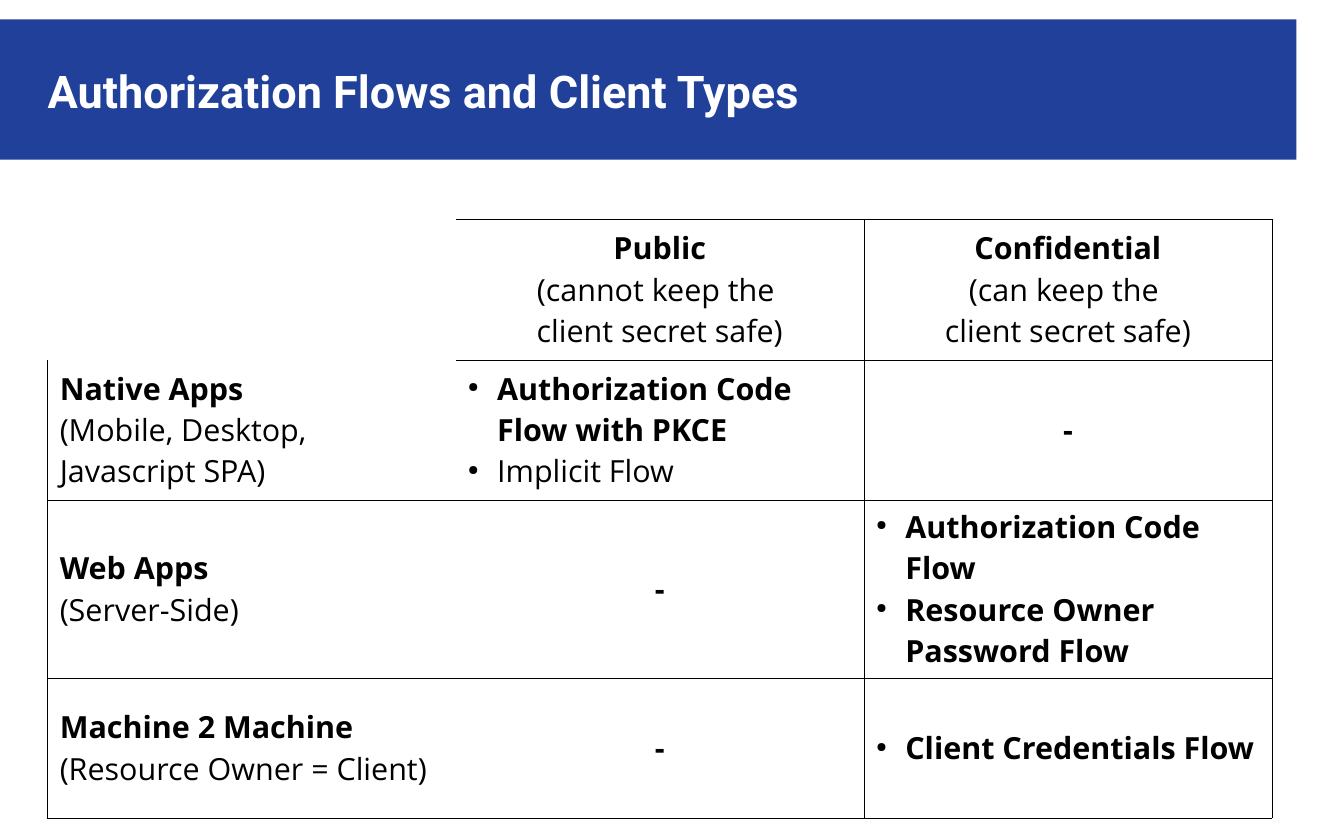
from dataclasses import dataclass

from lxml import etree
from pptx import Presentation
from pptx import util as u
from pptx.dml.color import RGBColor
from pptx.enum import shapes, text
from pptx.oxml import ns

COLORS = {"banner": "21409A", "title": "FFFFFF", "ink": "000000"}
TITLE_FONT, TABLE_FONT = "Roboto", "Open Sans"
TABLE_WIDTH = 10.04
ROW_HEIGHTS = (1.15, 1.15, 1.46, 1.15)
BORDER_WIDTH = u.Pt(0.06)


@dataclass(frozen=True)
class Words:
    content: str
    bold: bool = False


@dataclass(frozen=True)
class Line:
    words: tuple[Words, ...]
    centered: bool = False
    bulleted: bool = False


def centered(content: str, bold: bool = False) -> Line:
    return Line((Words(content, bold),), centered=True)


def flow(content: str, bold: bool = True) -> Line:
    return Line((Words(content, bold),), bulleted=True)


def plain(content: str, bold: bool = False) -> Line:
    return Line((Words(content, bold),))


NO_FLOW = (centered("-", True),)
FLOWS_BY_CLIENT: tuple[tuple[tuple[Line, ...], ...], ...] = (
    (
        (),
        (centered("Public", True), centered("(cannot keep the \nclient secret safe)")),
        (centered("Confidential", True), centered("(can keep the \nclient secret safe)")),
    ),
    (
        (plain("Native Apps", True), plain("(Mobile, Desktop, Javascript SPA)")),
        (flow("Authorization Code Flow with PKCE"), flow("Implicit Flow", False)),
        NO_FLOW,
    ),
    (
        (plain("Web Apps", True), plain("(Server-Side)")),
        NO_FLOW,
        (flow("Authorization Code Flow"), flow("Resource Owner Password Flow")),
    ),
    (
        (Line((Words("Machine 2 Machine", True), Words(" (Resource Owner = Client)"))),),
        NO_FLOW,
        (flow("Client Credentials Flow"),),
    ),
)


def rgb(name: str) -> RGBColor:
    return RGBColor.from_string(COLORS[name])


def add_words(paragraph, words: Words, font: str, size: float, color: str) -> None:
    for index, part in enumerate(words.content.split("\n")):
        if index:
            paragraph.add_line_break()
        run = paragraph.add_run()
        run.text = part
        run.font.name = font
        run.font.size = u.Pt(size)
        run.font.bold = words.bold
        run.font.color.rgb = rgb(color)


def add_bullet(paragraph) -> None:
    properties = paragraph._p.get_or_add_pPr()
    properties.set("marL", str(u.Inches(0.24)))
    properties.set("indent", str(u.Inches(-0.24)))
    tint = etree.SubElement(properties, ns.qn("a:buClr"))
    etree.SubElement(tint, ns.qn("a:srgbClr"), val=COLORS["ink"])
    etree.SubElement(properties, ns.qn("a:buSzPct"), val="45000")
    etree.SubElement(properties, ns.qn("a:buChar"), char="●")


def set_borders(cell, row: int, column: int) -> None:
    corner = row == 0 and column == 0
    visible = {
        "a:lnL": column == 2 or (column == 0 and not corner),
        "a:lnR": column > 0,
        "a:lnT": not corner and (row, column) != (1, 0),
        "a:lnB": not corner,
    }
    properties = cell._tc.get_or_add_tcPr()
    for side, drawn in visible.items():
        edge = etree.SubElement(properties, ns.qn(side), w=str(BORDER_WIDTH))
        if drawn:
            fill = etree.SubElement(edge, ns.qn("a:solidFill"))
            etree.SubElement(fill, ns.qn("a:srgbClr"), val=COLORS["ink"])
        else:
            etree.SubElement(edge, ns.qn("a:noFill"))


def fill_cell(cell, lines: tuple[Line, ...]) -> None:
    cell.vertical_anchor = text.MSO_ANCHOR.MIDDLE
    cell.margin_left = cell.margin_right = u.Inches(0.1)
    cell.margin_top = cell.margin_bottom = u.Inches(0.05)
    for index, line in enumerate(lines):
        frame = cell.text_frame
        paragraph = frame.add_paragraph() if index else frame.paragraphs[0]
        if line.bulleted:
            add_bullet(paragraph)
        paragraph.alignment = text.PP_ALIGN.CENTER if line.centered else text.PP_ALIGN.LEFT
        for words in line.words:
            add_words(paragraph, words, TABLE_FONT, 18, "ink")


def add_heading(slide) -> None:
    banner = slide.shapes.add_shape(
        shapes.MSO_SHAPE.RECTANGLE, 0, u.Inches(0.16), u.Inches(10.63), u.Inches(1.15)
    )
    banner.shadow.inherit = False
    banner.fill.solid()
    banner.fill.fore_color.rgb = rgb("banner")
    banner.line.fill.background()

    title = slide.shapes.add_textbox(
        u.Inches(0.39), u.Inches(0.33), u.Inches(10.24), u.Inches(0.82)
    ).text_frame
    title.word_wrap = True
    title.vertical_anchor = text.MSO_ANCHOR.MIDDLE
    title.margin_left = title.margin_right = title.margin_top = title.margin_bottom = 0
    heading = Words("Authorization Flows and Client Types", True)
    add_words(title.paragraphs[0], heading, TITLE_FONT, 26.6, "title")


def add_flow_table(slide) -> None:
    columns = len(FLOWS_BY_CLIENT[0])
    flow_table = slide.shapes.add_table(
        len(ROW_HEIGHTS), columns, u.Inches(0.39), u.Inches(1.8),
        u.Inches(TABLE_WIDTH), u.Inches(sum(ROW_HEIGHTS)),
    ).table
    flow_table.first_row = flow_table.horz_banding = False
    for column in flow_table.columns:
        column.width = u.Inches(TABLE_WIDTH / columns)
    for row, height in zip(flow_table.rows, ROW_HEIGHTS):
        row.height = u.Inches(height)
    for row_index, clients in enumerate(FLOWS_BY_CLIENT):
        for column_index, lines in enumerate(clients):
            cell = flow_table.cell(row_index, column_index)
            set_borders(cell, row_index, column_index)
            cell.fill.background()
            fill_cell(cell, lines)


def main() -> None:
    deck = Presentation()
    deck.slide_width, deck.slide_height = u.Inches(11.02), u.Inches(6.89)
    slide = deck.slides.add_slide(deck.slide_layouts[6])
    add_heading(slide)
    add_flow_table(slide)
    deck.save("out.pptx")


if __name__ == "__main__":
    main()
